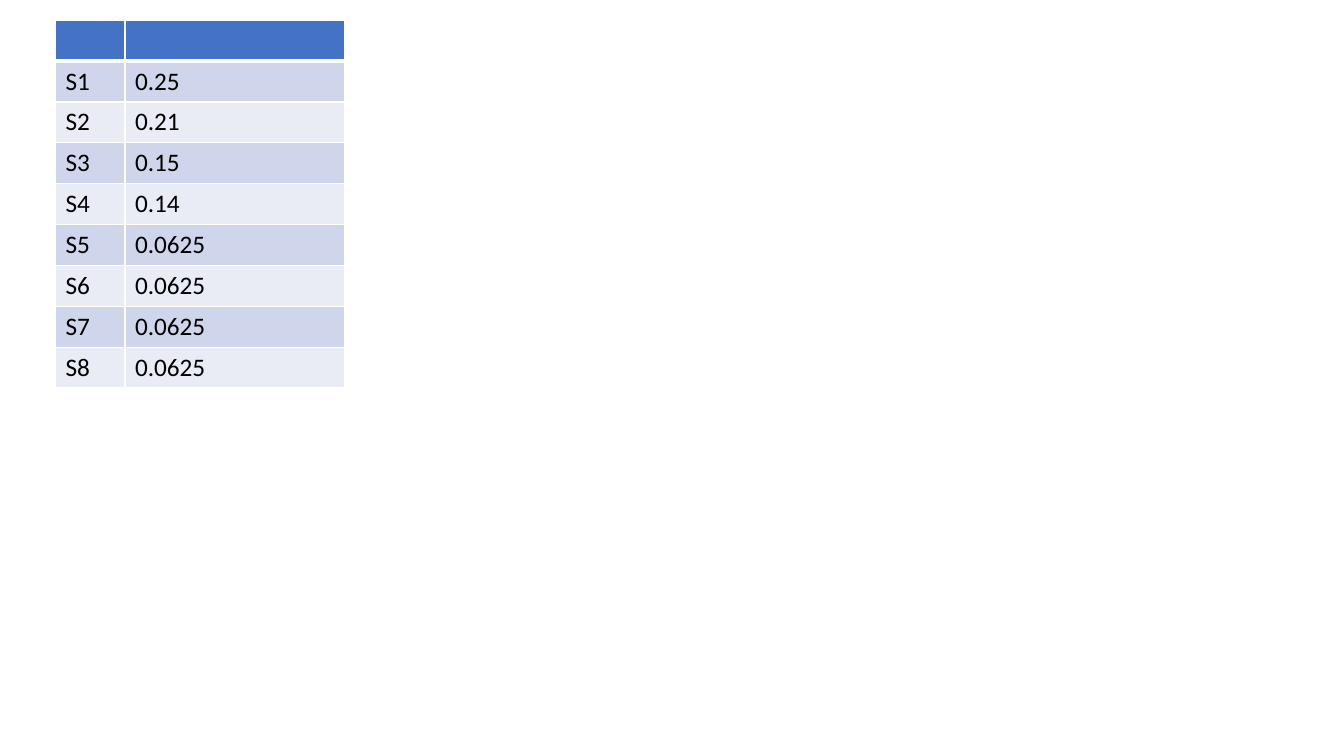
"""Build a slide with a table of symbols and their probabilities."""
from lxml.etree import SubElement
from pptx import Presentation
from pptx.dml.color import RGBColor
from pptx.oxml.ns import qn
from pptx.util import Inches, Pt

SYMBOLS = [
    ("", ""),
    ("S1", "0.25"),
    ("S2", "0.21"),
    ("S3", "0.15"),
    ("S4", "0.14"),
    ("S5", "0.0625"),
    ("S6", "0.0625"),
    ("S7", "0.0625"),
    ("S8", "0.0625"),
]
COLORS = {"header": "4472C4", "odd": "CFD5EA", "even": "E9EBF5",
          "border": "FFFFFF", "text": "000000"}
COLUMN_WIDTHS = (0.69, 2.18)
LEFT, TOP, ROW_HEIGHT = 0.55, 0.2, 0.4


def add_borders(cell, **widths):
    properties = cell._tc.get_or_add_tcPr()
    for side in "LRTB":
        line = SubElement(properties, qn(f"a:ln{side}"), w=str(Pt(widths.get(side, 1))))
        fill = SubElement(line, qn("a:solidFill"))
        SubElement(fill, qn("a:srgbClr"), val=COLORS["border"])


def write(cell, text, size=18, font="Calibri", color="text"):
    paragraph = cell.text_frame.paragraphs[0]
    paragraph.font.size = Pt(size)
    if text:
        run = paragraph.add_run()
        run.text = text
        run.font.size = Pt(size)
        run.font.name = font
        run.font.color.rgb = RGBColor.from_string(COLORS[color])


def main():
    deck = Presentation()
    deck.slide_width, deck.slide_height = Inches(13.33), Inches(7.5)
    slide = deck.slides.add_slide(deck.slide_layouts[6])
    symbol_table = slide.shapes.add_table(
        len(SYMBOLS), len(COLUMN_WIDTHS), Inches(LEFT), Inches(TOP),
        Inches(sum(COLUMN_WIDTHS)), Inches(ROW_HEIGHT * len(SYMBOLS))).table
    for column, width in zip(symbol_table.columns, COLUMN_WIDTHS):
        column.width = Inches(width)
    for index, values in enumerate(SYMBOLS):
        symbol_table.rows[index].height = Inches(ROW_HEIGHT)
        band = "header" if index == 0 else "odd" if index % 2 else "even"
        for position, value in enumerate(values):
            cell = symbol_table.cell(index, position)
            add_borders(cell, T=3 if index == 1 else 1, B=3 if index == 0 else 1)
            cell.fill.solid()
            cell.fill.fore_color.rgb = RGBColor.from_string(COLORS[band])
            write(cell, value)
    deck.save("out.pptx")


if __name__ == "__main__":
    main()
